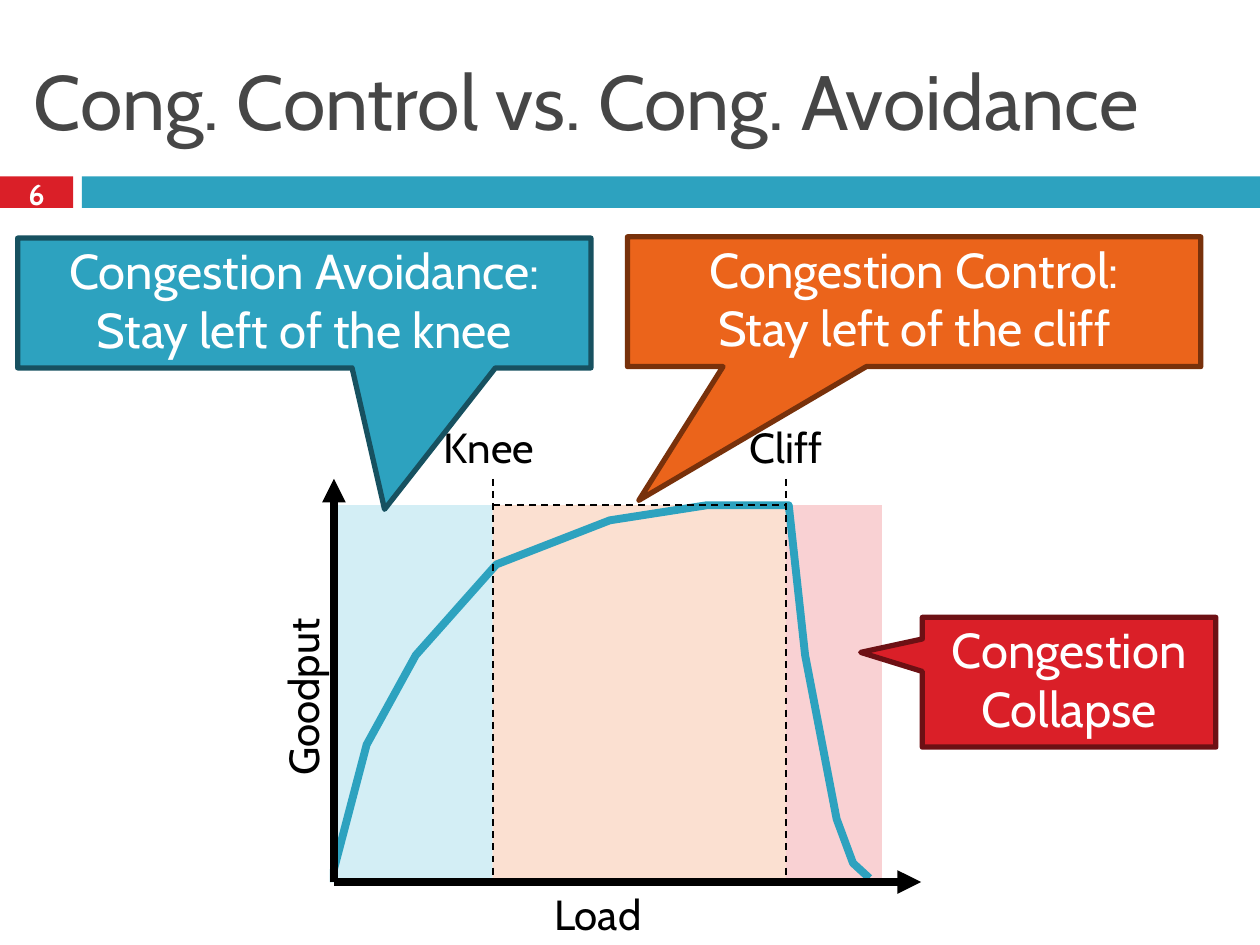
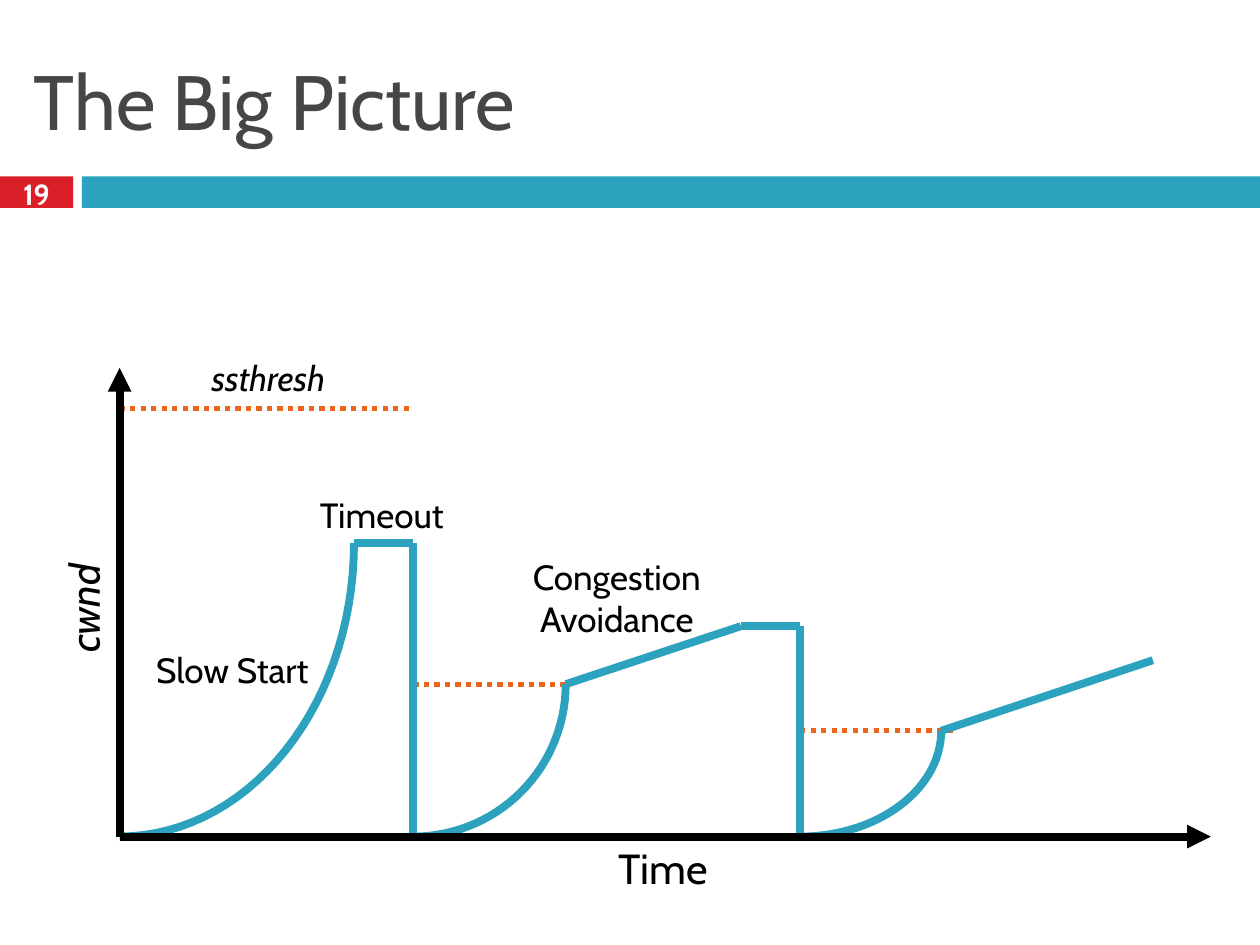
import math

from pptx import Presentation, util as u
from pptx.dml.color import RGBColor
from pptx.enum import dml, shapes, text
from pptx.oxml.ns import qn
from lxml import etree

# Shared style
FONT = "Cabin"
WHITE = RGBColor(0xFF, 0xFF, 0xFF)
BLACK = RGBColor(0x00, 0x00, 0x00)
GREY = RGBColor(0x46, 0x46, 0x46)
BLUE = RGBColor(0x2D, 0xA2, 0xBF)
DARK_BLUE = RGBColor(0x17, 0x51, 0x60)
PALE_BLUE = RGBColor(0xD3, 0xEE, 0xF5)
ORANGE = RGBColor(0xEB, 0x64, 0x1B)
DARK_ORANGE = RGBColor(0x78, 0x31, 0x0B)
PALE_ORANGE = RGBColor(0xFB, 0xE0, 0xD1)
RED = RGBColor(0xDA, 0x1F, 0x28)
DARK_RED = RGBColor(0x6D, 0x10, 0x14)
PALE_RED = RGBColor(0xF9, 0xD1, 0xD3)
THICK = 4.5
LEFT, CENTER = text.PP_ALIGN.LEFT, text.PP_ALIGN.CENTER
TOP, MIDDLE = text.MSO_ANCHOR.TOP, text.MSO_ANCHOR.MIDDLE
DASH, DOTS = dml.MSO_LINE.DASH, dml.MSO_LINE.ROUND_DOT


def length(inches):
    """Layout numbers are inches; the file gets them through Cm."""
    return u.Cm(inches * 2.54)


def lengths(values):
    return [length(value) for value in values]


def write(shape, words, size=24, color=BLACK, bold=False, italic=False,
          align=LEFT, first_align=None, anchor=TOP, wrap=True):
    """Fill a shape with text, one paragraph for each line of words."""
    frame = shape.text_frame
    frame.word_wrap = wrap
    frame.vertical_anchor = anchor
    for index, words_of_line in enumerate(words.split("\n")):
        para = frame.paragraphs[0] if index == 0 else frame.add_paragraph()
        para.alignment = align
        span = para.add_run()
        span.text = words_of_line
        span.font.name = FONT
        span.font.size = u.Pt(size)
        span.font.color.rgb = color
        span.font.bold = bold
        span.font.italic = italic
    if first_align is not None:
        frame.paragraphs[0].alignment = first_align


class Sketch:
    """Holds the deck, the current page and the look of each element."""

    def __init__(self):
        self.deck = Presentation()
        self.deck.slide_width = length(10)
        self.deck.slide_height = length(7.5)
        self.page = None

    def start_page(self, title, number):
        self.page = self.deck.slides.add_slide(self.deck.slide_layouts[6])
        self.area((0, 1.4, 0.58, 0.25), RED)
        self.area((0.65, 1.4, 9.35, 0.25), BLUE)
        self.box((0.17, 0.25, 9.83, 1.08), title, size=44, color=GREY,
                 anchor=MIDDLE)
        self.box((0, 1.37, 0.58, 0.33), number, size=16.6, color=WHITE,
                 bold=True, align=CENTER, anchor=MIDDLE)

    def box(self, place, words, **style):
        box = self.page.shapes.add_textbox(*lengths(place))
        write(box, words, **style)
        return box

    def label(self, place, words, rotation=0, **style):
        box = self.box(place, words, wrap=False, **style)
        box.text_frame.auto_size = text.MSO_AUTO_SIZE.SHAPE_TO_FIT_TEXT
        box.rotation = rotation

    def area(self, place, fill, kind=shapes.MSO_SHAPE.RECTANGLE):
        area = self.page.shapes.add_shape(kind, *lengths(place))
        area.shadow.inherit = False
        area.fill.solid()
        area.fill.fore_color.rgb = fill
        area.line.fill.background()
        return area

    def callout(self, place, words, tip, fill, border):
        """A speech box; tip is the offset from its centre in box sizes."""
        callout = self.area(place, fill,
                            shapes.MSO_SHAPE.RECTANGULAR_CALLOUT)
        callout.adjustments[0], callout.adjustments[1] = tip
        callout.line.color.rgb = border
        callout.line.width = u.Pt(3)
        callout.text_frame.margin_top = 0
        callout.text_frame.margin_bottom = length(0.06)
        write(callout, words, size=28, color=WHITE, align=CENTER,
              anchor=MIDDLE)

    def line(self, start, end, color=BLACK, width=THICK, dash=None,
             arrow=False):
        line = self.page.shapes.add_connector(
            shapes.MSO_CONNECTOR.STRAIGHT, *lengths(start + end))
        line.line.color.rgb = color
        line.line.width = u.Pt(width)
        if dash:
            line.line.dash_style = dash
        if arrow:
            etree.SubElement(line.get_or_add_ln(), qn("a:tailEnd"),
                             type="triangle")
        etree.SubElement(line.element.spPr, qn("a:effectLst"))

    def axes(self, origin, top, right):
        self.line(origin, (origin[0], top), arrow=True)
        self.line(origin, (right, origin[1]), arrow=True)

    def curve(self, points):
        corners = [tuple(lengths(point)) for point in points]
        builder = self.page.shapes.build_freeform(*corners[0])
        builder.add_line_segments(corners[1:], close=False)
        curve = builder.convert_to_shape()
        curve.shadow.inherit = False
        curve.fill.background()
        curve.line.color.rgb = BLUE
        curve.line.width = u.Pt(THICK)

    def growth(self, start, end, steps=30):
        """A quarter ellipse, flat at its start and upright at its end."""
        wide, high = end[0] - start[0], start[1] - end[1]
        angles = [math.pi / 2 * step / steps for step in range(steps + 1)]
        self.curve([(start[0] + wide * math.sin(angle),
                     end[1] + high * math.cos(angle)) for angle in angles])


sketch = Sketch()

# Page 1: goodput against load
origin_x, knee, cliff, end_x = 2.65, 3.91, 6.24, 7
peak, base, axis_top = 4.01, 7, 3.8

sketch.start_page("Cong. Control vs. Cong. Avoidance", "6")
for left, right, tint in ((origin_x, knee, PALE_BLUE),
                          (knee, cliff, PALE_ORANGE),
                          (cliff, end_x, PALE_RED)):
    sketch.area((left, peak, right - left, base - peak), tint)

sketch.curve([(origin_x, base), (origin_x, 6.9), (2.91, 5.91), (3.3, 5.2),
              (3.94, 4.48), (4.84, 4.13), (5.61, peak), (6.26, peak),
              (6.39, 5.2), (6.64, 6.5), (6.77, 6.85), (6.9, 6.97)])
sketch.axes((origin_x, base), axis_top, 7.31)
for limit in (knee, cliff):
    sketch.line((limit, axis_top), (limit, base), width=1, dash=DASH)
sketch.line((knee, peak), (cliff, peak), width=1, dash=DASH)

sketch.label((1.66, 5.26, 1.49, 0.5), "Goodput", rotation=270)
sketch.label((3.42, 3.3, 0.99, 0.5), "Knee")
sketch.label((5.85, 3.3, 0.82, 0.5), "Cliff")
sketch.label((4.3, base, 0.95, 0.5), "Load")

sketch.callout((7.32, 4.9, 2.33, 1.03), "Congestion Collapse",
               (-0.71, -0.23), RED, DARK_RED)
sketch.callout((0.14, 1.89, 4.55, 1.03),
               "Congestion Avoidance:\nStay left of the knee",
               (0.14, 1.59), BLUE, DARK_BLUE)
sketch.callout((4.98, 1.88, 4.55, 1.03),
               "Congestion Control:\nStay left of the cliff",
               (-0.48, 1.53), ORANGE, DARK_ORANGE)

# Page 2: congestion window against time
origin_x, base = 0.95, 6.64
first_drop, second_drop = 3.28, 6.35

sketch.start_page("The Big Picture", "19")
for left, right, threshold in ((origin_x, first_drop, 3.24),
                               (first_drop, 4.49, 5.43),
                               (second_drop, 7.56, 5.8)):
    sketch.line((left, threshold), (right, threshold), ORANGE, 3, DOTS)

sketch.label((4.81, base, 0.94, 0.51), "Time")
sketch.label((0.17, 4.53, 0.99, 0.51), "cwnd", rotation=270, italic=True)
sketch.label((2.44, 3.87, 1.21, 0.44), "Timeout", size=20)
sketch.label((1.14, 5.1, 1.48, 0.44), "Slow Start", size=20)
sketch.label((4.13, 4.36, 1.62, 0.77), "Congestion\nAvoidance", size=20,
             align=CENTER, first_align=LEFT)
sketch.label((1.5, 2.78, 1.26, 0.44), "ssthresh", size=20, italic=True,
             align=CENTER)

# Each round: slow start along a curve, then straight lines
rounds = (
    (origin_x, [(2.81, 4.31), (first_drop, 4.31), (first_drop, base)]),
    (first_drop, [(4.49, 5.43), (5.88, 4.97), (second_drop, 4.97),
                  (second_drop, base)]),
    (second_drop, [(7.47, 5.8), (9.15, 5.24)]),
)
for start_x, corners in rounds:
    sketch.growth((start_x, base), corners[0])
    for start, end in zip(corners, corners[1:]):
        sketch.line(start, end, BLUE)
sketch.axes((origin_x, base), 2.92, 9.61)

sketch.deck.save("out.pptx")
